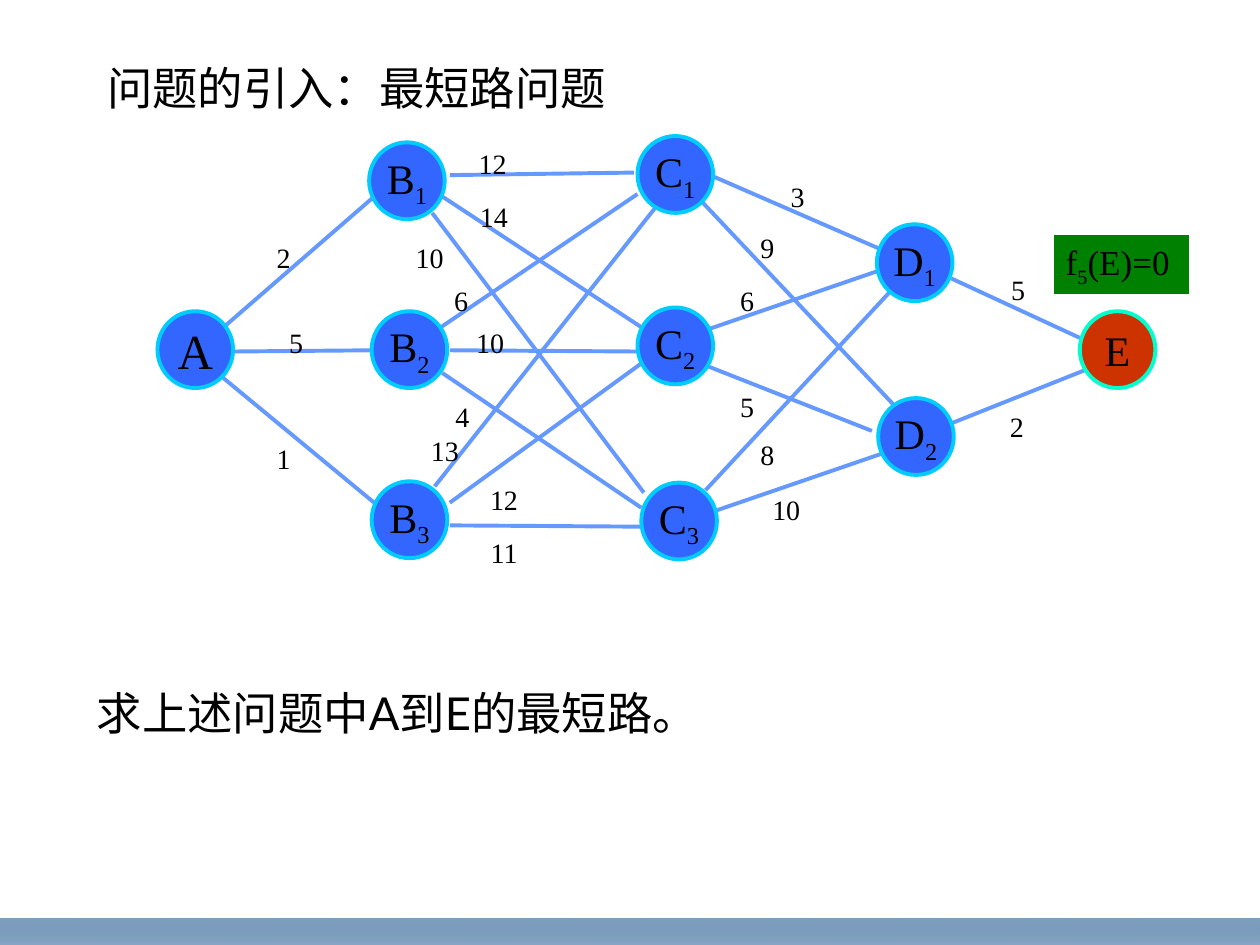
from lxml.etree import SubElement
from pptx import Presentation
from pptx.dml.color import RGBColor
from pptx.enum.shapes import MSO_CONNECTOR as CONN, MSO_SHAPE as SHAPE
from pptx.enum.text import MSO_ANCHOR as ANCHOR, MSO_AUTO_SIZE as FIT, PP_ALIGN as ALIGN
from pptx.oxml.ns import qn
from pptx.util import Inches, Pt

BLACK = RGBColor(0x00, 0x00, 0x00)
WHITE = RGBColor(0xFF, 0xFF, 0xFF)
EDGE = RGBColor(0x66, 0x99, 0xFF)
NODE = RGBColor(0x33, 0x66, 0xFF)
RING = RGBColor(0x00, 0xCC, 0xFF)
GOAL = RGBColor(0xCC, 0x33, 0x00)
GOAL_RING = RGBColor(0x00, 0xFF, 0xCC)
GREEN = RGBColor(0x00, 0x80, 0x00)
BAR_TOP = RGBColor(0x7D, 0x9E, 0xBE)
BAR_BOTTOM = RGBColor(0x33, 0x66, 0x99)

SERIF, SANS = "Times New Roman", "Lato"
TITLE = "问题的引入：最短路问题"
TASK = "求上述问题中A到E的最短路。"
NODE_SIZE = (0.6, 0.61)
LABEL_SIZE = (0.32, 0.33)
LINE_SIZE = (8.5, 0.56)

NODES = [
    ("A", "", 1.25, 2.47),
    ("B", "1", 2.93, 1.13), ("B", "2", 2.95, 2.47), ("B", "3", 2.95, 3.82),
    ("C", "1", 5.06, 1.08), ("C", "2", 5.06, 2.44), ("C", "3", 5.09, 3.83),
    ("D", "1", 6.96, 1.78), ("D", "2", 6.97, 3.16),
    ("E", "", 8.57, 2.47),
]

EDGES = [
    ((1.76, 2.61), (2.97, 1.56), "2", (2.09, 1.88)),
    ((1.85, 2.79), (2.97, 2.78), "5", (2.19, 2.55)),
    ((1.76, 2.99), (2.97, 3.99), "1", (2.09, 3.47)),
    ((3.57, 1.39), (5.03, 1.37), "12", (3.75, 1.13)),
    ((3.48, 1.54), (5.11, 2.61), "14", (3.76, 1.55)),
    ((3.43, 1.69), (5.11, 3.91), "10", (3.25, 1.88)),
    ((3.48, 2.61), (5.06, 1.54), "6", (3.5, 2.22)),
    ((3.57, 2.78), (5.06, 2.79), "10", (3.73, 2.55)),
    ((3.51, 2.96), (5.09, 4.03), "4", (3.51, 3.14)),
    ((3.45, 3.86), (5.2, 1.65), "13", (3.37, 3.41)),
    ((3.57, 3.99), (5.11, 2.87), "12", (3.84, 3.8)),
    ((3.57, 4.17), (5.09, 4.18), "11", (3.84, 4.22)),
    ((5.66, 1.4), (6.97, 1.97), "3", (6.17, 1.39)),
    ((5.57, 1.6), (7.09, 3.21), "9", (5.93, 1.8)),
    ((5.63, 2.61), (6.97, 2.15), "6", (5.77, 2.22)),
    ((5.6, 2.9), (6.92, 3.42), "5", (5.77, 3.06)),
    ((5.6, 3.89), (7.06, 2.32), "8", (5.93, 3.44)),
    ((5.66, 4.06), (7, 3.6), "10", (6.08, 3.88)),
    ((7.55, 2.21), (8.61, 2.7), "5", (7.92, 2.13)),
    ((7.55, 3.36), (8.63, 2.93), "2", (7.91, 3.22)),
]

prs = Presentation()
prs.slide_width, prs.slide_height = Inches(10), Inches(7.5)
slide = prs.slides.add_slide(prs.slide_layouts[5])
shapes = slide.shapes


def box(at, size):
    return [Inches(v) for v in (*at, *size)]


def write(sp, *parts, size=16, font=SERIF, align=ALIGN.CENTER, inset=(0, 0), spacing=None):
    tf = sp.text_frame
    tf.word_wrap = True
    tf.auto_size = FIT.NONE
    tf.vertical_anchor = ANCHOR.MIDDLE
    tf.margin_left = tf.margin_right = Inches(inset[0])
    tf.margin_top = tf.margin_bottom = Inches(inset[1])
    p = tf.paragraphs[0]
    p.alignment = align
    p.line_spacing = spacing
    for i, part in enumerate(parts):
        if not part:
            continue
        r = p.add_run()
        r.text = part
        r.font.size = Pt(size)
        r.font.name = font
        r.font.color.rgb = BLACK
        if i == 1:
            r._r.get_or_add_rPr().set("baseline", "-25000")


def add_solid(kind, at, size, fill, line, width):
    sp = shapes.add_shape(kind, *box(at, size))
    sp.shadow.inherit = False
    sp.fill.solid()
    sp.fill.fore_color.rgb = fill
    sp.line.color.rgb = line
    sp.line.width = Pt(width)
    return sp


def add_bar():
    sp = shapes.add_shape(SHAPE.RECTANGLE, *box((0, 7.29), (10, 0.21)))
    sp.shadow.inherit = False
    sp.line.fill.background()
    sp.fill.gradient()
    sp.fill.gradient_angle = 270
    for stop, color, pos in zip(sp.fill.gradient_stops, (BAR_TOP, BAR_BOTTOM), (0, 1)):
        stop.color.rgb = color
        stop.position = pos
    last = sp._element.spPr.findall(".//" + qn("a:srgbClr"))[-1]
    SubElement(last, qn("a:alpha")).set("val", "57000")


def add_edge(start, end):
    c = shapes.add_connector(CONN.STRAIGHT, *[Inches(v) for v in (*start, *end)])
    c.line.color.rgb = EDGE
    c.line.width = Pt(2.25)
    SubElement(c._element.spPr, qn("a:effectLst"))


add_bar()
for start, end, _, _ in EDGES:
    add_edge(start, end)
for _, _, weight, at in EDGES:
    write(shapes.add_textbox(*box(at, LABEL_SIZE)), weight)
for name, index, *at in NODES:
    colors = (GOAL, GOAL_RING) if name == "E" else (NODE, RING)
    sp = add_solid(SHAPE.OVAL, at, NODE_SIZE, *colors, 2.25)
    write(sp, name, index, size=28 if name == "A" else 24)

sp = add_solid(SHAPE.RECTANGLE, (8.36, 1.86), (1.08, 0.48), GREEN, WHITE, 0.75)
write(sp, "f", "5", "(E)=0", size=20, align=ALIGN.LEFT, inset=(0.1, 0.05))

title = shapes.title
title.left, title.top, title.width, title.height = box((0.75, 0.44), LINE_SIZE)
task = shapes.add_textbox(*box((0.67, 5.4), LINE_SIZE))
for sp, text, font in ((title, TITLE, SERIF), (task, TASK, SANS)):
    write(sp, text, size=25.9, font=font, align=ALIGN.LEFT, inset=(0.1, 0.05), spacing=0.9)

prs.save("out.pptx")
